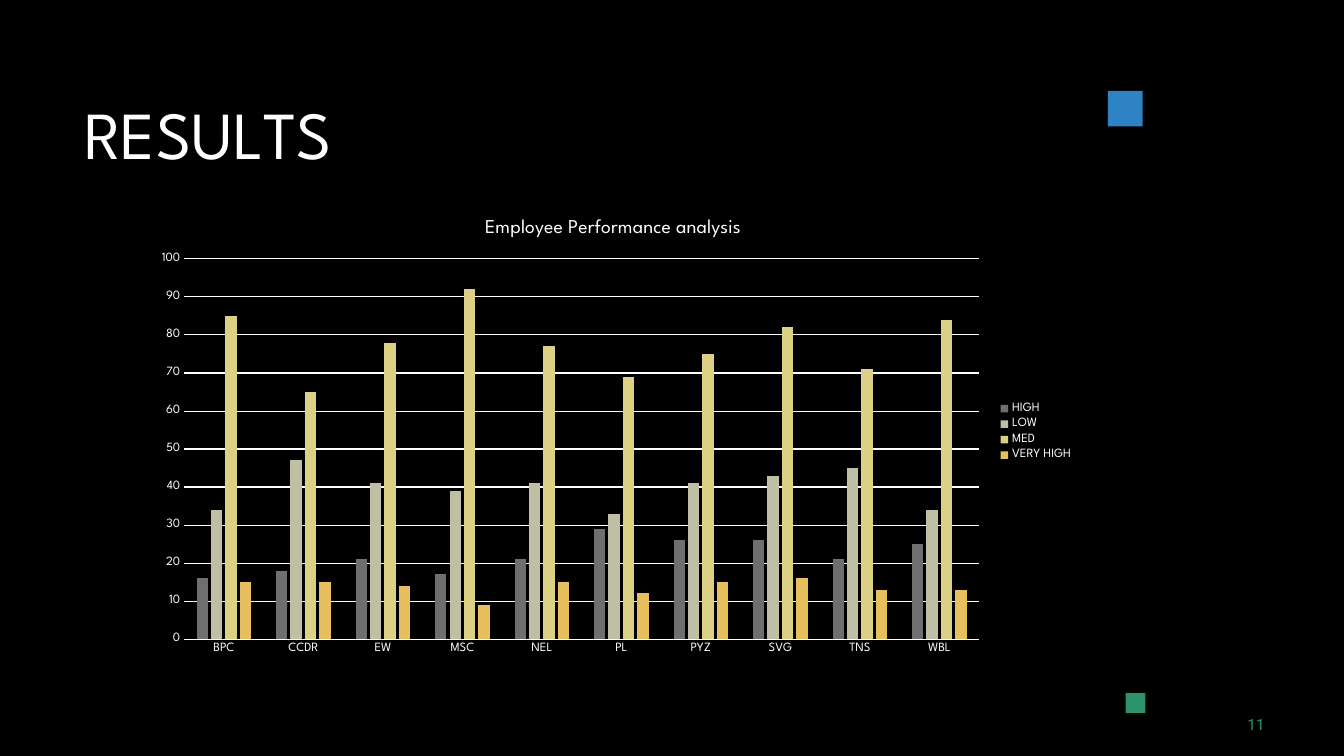
from lxml import etree
from pptx import Presentation
from pptx.chart.data import CategoryChartData
from pptx.dml.color import RGBColor
from pptx.enum.chart import XL_CHART_TYPE, XL_LEGEND_POSITION, XL_TICK_MARK
from pptx.enum.shapes import MSO_SHAPE
from pptx.enum.text import MSO_ANCHOR, PP_ALIGN
from pptx.oxml.ns import qn
from pptx.util import Pt

COLUMNS = XL_CHART_TYPE.COLUMN_CLUSTERED
LEGEND_RIGHT = XL_LEGEND_POSITION.RIGHT
NO_TICK = XL_TICK_MARK.NONE
RECTANGLE = MSO_SHAPE.RECTANGLE
MIDDLE = MSO_ANCHOR.MIDDLE
LEFT = PP_ALIGN.LEFT

HEADING_FONT = "League Spartan"
NUMBER_FONT = "Roboto"
COLORS = {
    "background": "000000", "text": "FFFFFF", "blue": "2D83C3", "green": "2D936B",
    "HIGH": "6F6F6F", "LOW": "BFBFA5", "MED": "DCD084", "VERY HIGH": "E7BF5F",
}
TEAMS = ["BPC", "CCDR", "EW", "MSC", "NEL", "PL", "PYZ", "SVG", "TNS", "WBL"]
RATINGS = {
    "HIGH": [16, 18, 21, 17, 21, 29, 26, 26, 21, 25],
    "LOW": [34, 47, 41, 39, 41, 33, 41, 43, 45, 34],
    "MED": [85, 65, 78, 92, 77, 69, 75, 82, 71, 84],
    "VERY HIGH": [15, 15, 14, 9, 15, 12, 15, 16, 13, 13],
}
# Plot area as shares of the chart's width and height
PLOT_LAYOUT = {"x": 0.044, "y": 0.128, "w": 0.845, "h": 0.818}


def color(name):
    return RGBColor.from_string(COLORS[name])


def style_font(font, size, color_name="text", face=HEADING_FONT):
    font.size = Pt(size)
    font.name = face
    font.bold = False
    font.color.rgb = color(color_name)


def style_line(line, width=0.75):
    line.color.rgb = color("text")
    line.width = Pt(width)


def place(shape, box):
    shape.left, shape.top, shape.width, shape.height = (Pt(value) for value in box)


def clear_margins(frame):
    frame.margin_left = frame.margin_right = frame.margin_bottom = 0
    frame.margin_top = Pt(0.72)


def add_square(page, box, color_name):
    square = page.shapes.add_shape(RECTANGLE, *(Pt(value) for value in box))
    square.shadow.inherit = False
    square.fill.solid()
    square.fill.fore_color.rgb = color(color_name)
    square.line.fill.background()


def fill_title(page, box):
    title = page.shapes.title
    place(title, box)
    frame = title.text_frame
    clear_margins(frame)
    frame.vertical_anchor = MIDDLE
    para = frame.paragraphs[0]
    para.alignment = LEFT
    para.space_before = Pt(1.1)
    # The L is tightened against the T; spacing is in hundredths of a point
    for letters, spacing in (("RESU", 0), ("L", -400), ("TS", 0)):
        span = para.add_run()
        span.text = letters
        style_font(span.font, 48)
        span.font._element.set("spc", str(spacing))


def add_page_number(page, box, number):
    frame = page.shapes.add_textbox(*(Pt(value) for value in box)).text_frame
    frame.word_wrap = True
    clear_margins(frame)
    para = frame.paragraphs[0]
    para.text = str(number)
    para.space_before = Pt(0.6)
    frame.margin_left = Pt(3)
    style_font(para.runs[0].font, 11, "green", NUMBER_FONT)


def fix_plot_area(chart):
    plot_area = chart._chartSpace.chart.plotArea
    for old_layout in plot_area.findall(qn("c:layout")):
        plot_area.remove(old_layout)
    layout = etree.Element(qn("c:layout"))
    manual = etree.SubElement(layout, qn("c:manualLayout"))
    settings = {"layoutTarget": "inner", "xMode": "edge", "yMode": "edge", **PLOT_LAYOUT}
    for tag, value in settings.items():
        etree.SubElement(manual, qn("c:" + tag)).set("val", str(value))
    plot_area.insert(0, layout)


def add_performance_chart(page, box):
    data = CategoryChartData()
    data.categories = TEAMS
    for rating, values in RATINGS.items():
        data.add_series(rating, values)
    chart = page.shapes.add_chart(COLUMNS, *(Pt(value) for value in box), data).chart
    style_font(chart.font, 10)

    # Title and legend
    chart.has_title = True
    para = chart.chart_title.text_frame.paragraphs[0]
    para.text = "Employee Performance analysis"
    style_font(para.runs[0].font, 14)
    chart.chart_title.include_in_layout = False
    chart.has_legend = True
    chart.legend.position = LEGEND_RIGHT
    chart.legend.include_in_layout = False
    style_font(chart.legend.font, 9)

    # Columns
    plot = chart.plots[0]
    plot.gap_width = 219
    plot.overlap = -27
    plot.vary_by_categories = False
    for series in plot.series:
        series.format.fill.solid()
        series.format.fill.fore_color.rgb = color(series.name)

    # Axes
    for axis in (chart.category_axis, chart.value_axis):
        axis.major_tick_mark = axis.minor_tick_mark = NO_TICK
        style_font(axis.tick_labels.font, 9)
    style_line(chart.category_axis.format.line)
    scale = chart.value_axis
    scale.minimum_scale, scale.maximum_scale, scale.major_unit = 0, 100, 10
    scale.format.line.fill.background()
    style_line(scale.major_gridlines.format.line)
    fix_plot_area(chart)


def build_results_page(deck):
    page = deck.slides.add_slide(deck.slide_layouts[5])
    page.background.fill.solid()
    page.background.fill.fore_color.rgb = color("background")
    add_square(page, (791.3, 65, 25, 25.4), "blue")
    add_square(page, (804, 495, 14.2, 14.2), "green")
    fill_title(page, (60, 65, 264, 59))
    add_page_number(page, (888, 510, 18, 15), 11)
    add_performance_chart(page, (102, 142.5, 672, 332))


def main():
    deck = Presentation()
    deck.slide_width, deck.slide_height = Pt(960), Pt(540)
    build_results_page(deck)
    deck.save("out.pptx")


if __name__ == "__main__":
    main()
